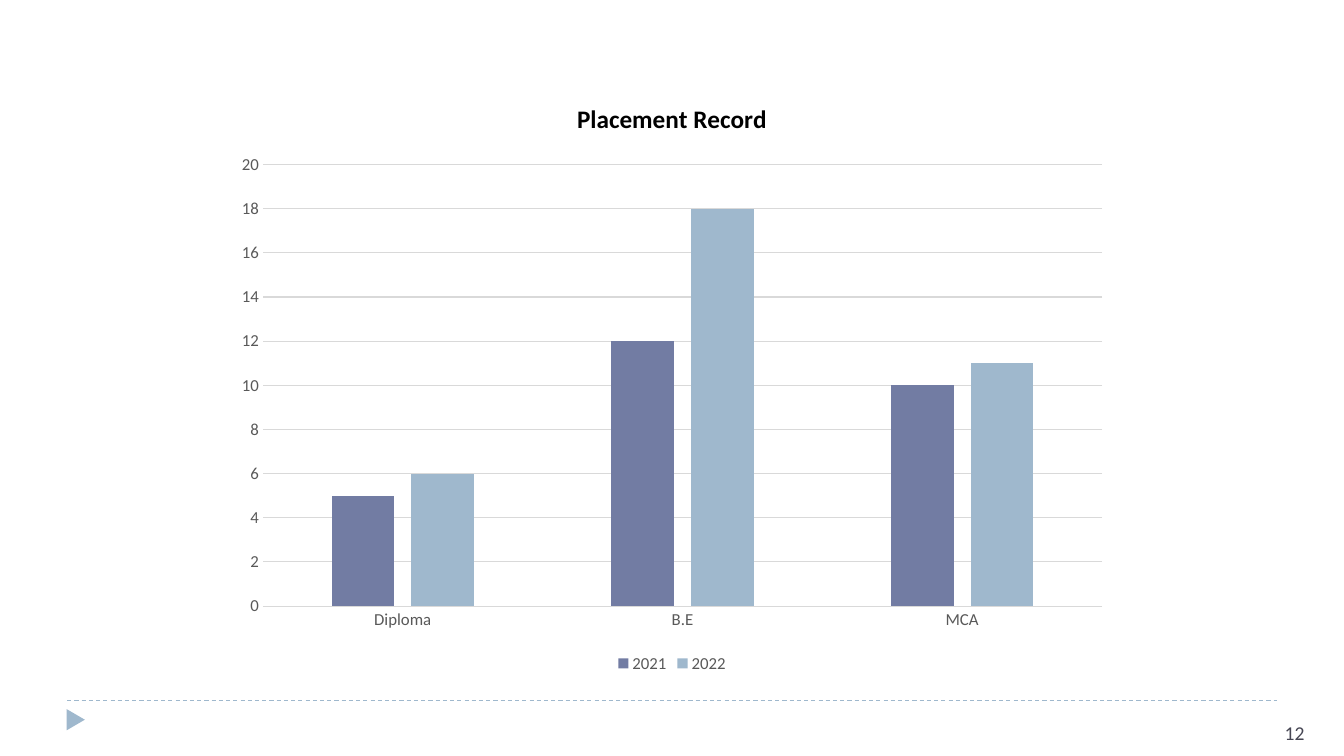
from dataclasses import dataclass

from pptx import Presentation
from pptx.chart.data import CategoryChartData
from pptx.dml.color import RGBColor
from pptx.enum.chart import XL_CHART_TYPE, XL_LEGEND_POSITION, XL_TICK_MARK
from pptx.enum.dml import MSO_LINE
from pptx.enum.shapes import MSO_CONNECTOR, MSO_SHAPE
from pptx.oxml.ns import qn
from pptx.util import Inches, Pt

COLUMNS = XL_CHART_TYPE.COLUMN_CLUSTERED
BOTTOM = XL_LEGEND_POSITION.BOTTOM
NO_TICK = XL_TICK_MARK.NONE
DASH = MSO_LINE.DASH
STRAIGHT = MSO_CONNECTOR.STRAIGHT
TRIANGLE = MSO_SHAPE.ISOSCELES_TRIANGLE

WIDTH, HEIGHT = Inches(13.33), Inches(7.5)
BLANK_LAYOUT = 6


@dataclass(frozen=True)
class Theme:
    font: str = "Calibri"
    title: str = "000000"
    label: str = "595959"
    number: str = "464653"
    grid: str = "D9D9D9"
    accent: str = "9FB8CD"
    series: tuple = ("727CA3", "9FB8CD")
    title_size: int = 18
    label_size: int = 12
    number_size: int = 14
    hairline: float = 0.75


THEME = Theme()
PROGRAMMES = ("Diploma", "B.E", "MCA")
PLACEMENTS = {"2021": (5, 12, 10), "2022": (6, 18, 11)}


def format_font(font, size, color, bold=False):
    font.name = THEME.font
    font.size = Pt(size)
    font.bold = bold
    font.color.rgb = RGBColor.from_string(color)


def format_line(line, color):
    line.color.rgb = RGBColor.from_string(color)
    line.width = Pt(THEME.hairline)


def fill_solid(fill, color):
    fill.solid()
    fill.fore_color.rgb = RGBColor.from_string(color)


def add_placement_chart(page, left, top, width, height):
    data = CategoryChartData()
    data.categories = PROGRAMMES
    for year, counts in PLACEMENTS.items():
        data.add_series(year, counts)
    chart = page.shapes.add_chart(COLUMNS, left, top, width, height, data).chart
    format_font(chart.font, THEME.label_size, THEME.label)

    chart.has_title = True
    span = chart.chart_title.text_frame.paragraphs[0].add_run()
    span.text = "Placement Record"
    format_font(span.font, THEME.title_size, THEME.title, bold=True)
    chart.chart_title.include_in_layout = False

    chart.has_legend = True
    chart.legend.position = BOTTOM
    chart.legend.include_in_layout = False
    format_font(chart.legend.font, THEME.label_size, THEME.label)

    for axis in (chart.category_axis, chart.value_axis):
        axis.major_tick_mark = axis.minor_tick_mark = NO_TICK
        format_font(axis.tick_labels.font, THEME.label_size, THEME.label)
    format_line(chart.category_axis.format.line, THEME.grid)
    counts_axis = chart.value_axis
    counts_axis.minimum_scale, counts_axis.maximum_scale = 0, 20
    counts_axis.major_unit = 2
    counts_axis.format.line.fill.background()
    format_line(counts_axis.major_gridlines.format.line, THEME.grid)

    plot = chart.plots[0]
    plot.vary_by_categories = False
    plot.gap_width, plot.overlap = 219, -27
    for series, color in zip(plot.series, THEME.series):
        fill_solid(series.format.fill, color)


def add_footer(page, left, top, width, height, number):
    """Draw the dashed rule, the marker at its left and the page number."""
    rule = page.shapes.add_connector(STRAIGHT, left, top, left + width, top)
    format_line(rule.line, THEME.accent)
    rule.line.dash_style = DASH
    properties = rule._element.spPr
    properties.append(properties.makeelement(qn("a:effectLst"), {}))

    marker = page.shapes.add_shape(
        TRIANGLE, left - Inches(0.02), top + Inches(0.1), Inches(0.21), Inches(0.18))
    marker.rotation = 90
    marker.shadow.inherit = False
    fill_solid(marker.fill, THEME.accent)
    marker.line.fill.background()

    number_left, number_top = left + width - Inches(0.02), top + Inches(0.15)
    box = page.shapes.add_textbox(
        number_left, number_top, WIDTH - number_left, top + height - number_top)
    box.text_frame.word_wrap = True
    span = box.text_frame.paragraphs[0].add_run()
    span.text = str(number)
    format_font(span.font, THEME.number_size, THEME.number)


def main():
    deck = Presentation()
    deck.slide_width, deck.slide_height = WIDTH, HEIGHT
    page = deck.slides.add_slide(deck.slide_layouts[BLANK_LAYOUT])

    margin, rule_top = WIDTH // 20, Inches(6.95)
    add_footer(page, margin, rule_top, WIDTH - 2 * margin, HEIGHT - rule_top, 12)

    chart_left = WIDTH // 6
    add_placement_chart(
        page, chart_left, Inches(0.79), WIDTH - 2 * chart_left, Inches(5.93))
    deck.save("out.pptx")


if __name__ == "__main__":
    main()
